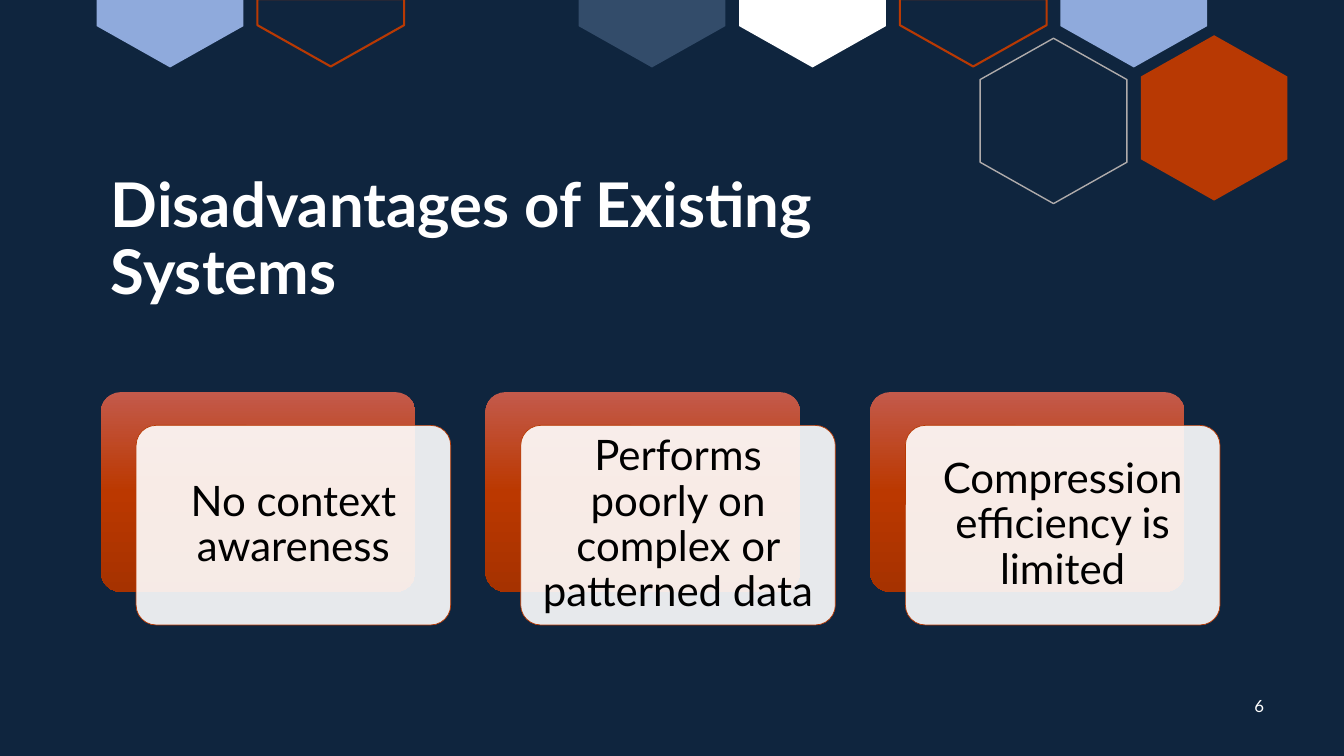
from copy import deepcopy
from dataclasses import dataclass

from lxml.etree import SubElement
from pptx import Presentation
from pptx.dml.color import RGBColor
from pptx.enum.shapes import MSO_SHAPE as Preset
from pptx.enum.text import MSO_ANCHOR as Anchor, MSO_AUTO_SIZE as AutoSize, PP_ALIGN as Align
from pptx.oxml.ns import qn
from pptx.util import Inches, Pt


@dataclass(frozen=True)
class Theme:
    font: str = "Lato"
    navy: str = "0F253E"
    slate: str = "334C6A"
    sky: str = "8FAADC"
    rust: str = "B83903"
    grey: str = "AFABAB"
    white: str = "FFFFFF"
    black: str = "000000"
    gradient: tuple = ((0, "C35A4B"), (0.5, "BB3800"), (1, "A63200"))
    title_size: int = 44
    card_size: int = 30
    number_size: int = 12


theme = Theme()
rgb = RGBColor.from_string


def write(holder, text, *, size, color, align=Align.LEFT, anchor=Anchor.MIDDLE,
          bold=False, spacing=1.0, inset=0.1):
    frame = holder.text_frame
    frame.word_wrap = True
    frame.auto_size = AutoSize.NONE
    frame.vertical_anchor = anchor
    frame.margin_left = frame.margin_right = Inches(inset)
    frame.margin_top = frame.margin_bottom = Inches(inset / 2)
    paragraph = frame.paragraphs[0]
    paragraph.alignment = align
    paragraph.line_spacing = spacing
    run = paragraph.add_run()
    run.text = text
    run.font.name, run.font.size, run.font.bold = theme.font, Pt(size), bold
    run.font.color.rgb = rgb(color)


def paint(shape, fill=None, line=None, width=1):
    """Set a flat fill and outline; None leaves either one out."""
    shape.shadow.inherit = False
    if fill:
        shape.fill.solid()
        shape.fill.fore_color.rgb = rgb(fill)
    else:
        shape.fill.background()
    if line:
        shape.line.color.rgb = rgb(line)
        shape.line.width = Pt(width)
    else:
        shape.line.fill.background()


deck = Presentation()
deck.slide_width, deck.slide_height = Inches(13.33), Inches(7.5)
slide = deck.slides.add_slide(deck.slide_layouts[5])
shapes = slide.shapes
slide.background.fill.solid()
slide.background.fill.fore_color.rgb = rgb(theme.navy)

# Honeycomb: column, top, height of the straight sides, formatting
hex_left, hex_pitch, hex_width, hex_slope = 0.96, 1.593, 1.455, 0.41
full_side, cut_side = 0.82, 0.26
honeycomb = [
    (5.5, 0.38, full_side, dict(line=theme.grey)),
    (3, 0, cut_side, dict(fill=theme.slate)),
    (4, 0, cut_side, dict(fill=theme.white)),
    (0, 0, cut_side, dict(fill=theme.sky)),
    (1, -0.01, cut_side, dict(line=theme.rust, width=1.5)),
    (5, -0.01, cut_side, dict(line=theme.rust, width=1.5)),
    (6, 0, cut_side, dict(fill=theme.sky)),
    (6.5, 0.35, full_side, dict(fill=theme.rust)),
]
for column, top, side, look in honeycomb:
    left = hex_left + column * hex_pitch
    middle, right = left + hex_width / 2, left + hex_width
    shoulder = top + hex_slope if side == full_side else top
    waist = shoulder + side
    corners = [(left, shoulder), (right, shoulder), (right, waist),
               (middle, waist + hex_slope), (left, waist)]
    if side == full_side:
        corners.insert(1, (middle, top))
    start, *rest = [(Inches(x), Inches(y)) for x, y in corners]
    outline = shapes.build_freeform(*start)
    outline.add_line_segments(rest, close=True)
    paint(outline.convert_to_shape(), **look)

heading = shapes.title
heading.left, heading.top = Inches(1), Inches(0.8)
heading.width, heading.height = Inches(8.39), Inches(2.3)
write(heading, "Disadvantages of Existing Systems", size=theme.title_size,
      color=theme.white, anchor=Anchor.BOTTOM, bold=True, spacing=0.9)

page_number = shapes.add_textbox(Inches(12.24), Inches(6.8), Inches(0.5), Inches(0.4))
write(page_number, "6", size=theme.number_size, color=theme.white, align=Align.CENTER)

# Cards: a gradient plate with a translucent panel shifted down and right
card_left, card_top, card_pitch = 1, 3.89, 3.815
card_size = Inches(3.12), Inches(1.98)
panel_shift = 0.35, 0.33
drawbacks = [
    "No context awareness",
    "Performs poorly on complex or patterned data",
    "Compression efficiency is limited",
]
for column, drawback in enumerate(drawbacks):
    left = card_left + column * card_pitch
    plate = shapes.add_shape(Preset.ROUNDED_RECTANGLE, Inches(left), Inches(card_top), *card_size)
    panel = shapes.add_shape(Preset.ROUNDED_RECTANGLE, Inches(left + panel_shift[0]),
                             Inches(card_top + panel_shift[1]), *card_size)
    plate.adjustments[0] = panel.adjustments[0] = 0.1

    paint(plate)
    plate.fill.gradient()
    plate.fill.gradient_angle = 270
    stop_list = plate.element.spPr.find(".//" + qn("a:gsLst"))
    stop_list.append(deepcopy(stop_list[0]))
    for stop, (position, color) in zip(plate.fill.gradient_stops, theme.gradient):
        stop.position = position
        stop.color.rgb = rgb(color)

    paint(panel, fill=theme.white, line=theme.rust, width=0.5)
    panel_color = panel.element.spPr.find(qn("a:solidFill")).find(qn("a:srgbClr"))
    SubElement(panel_color, qn("a:alpha"), val="90000")
    write(panel, drawback, size=theme.card_size, color=theme.black,
          align=Align.CENTER, spacing=0.9, inset=0.12)

deck.save("out.pptx")
